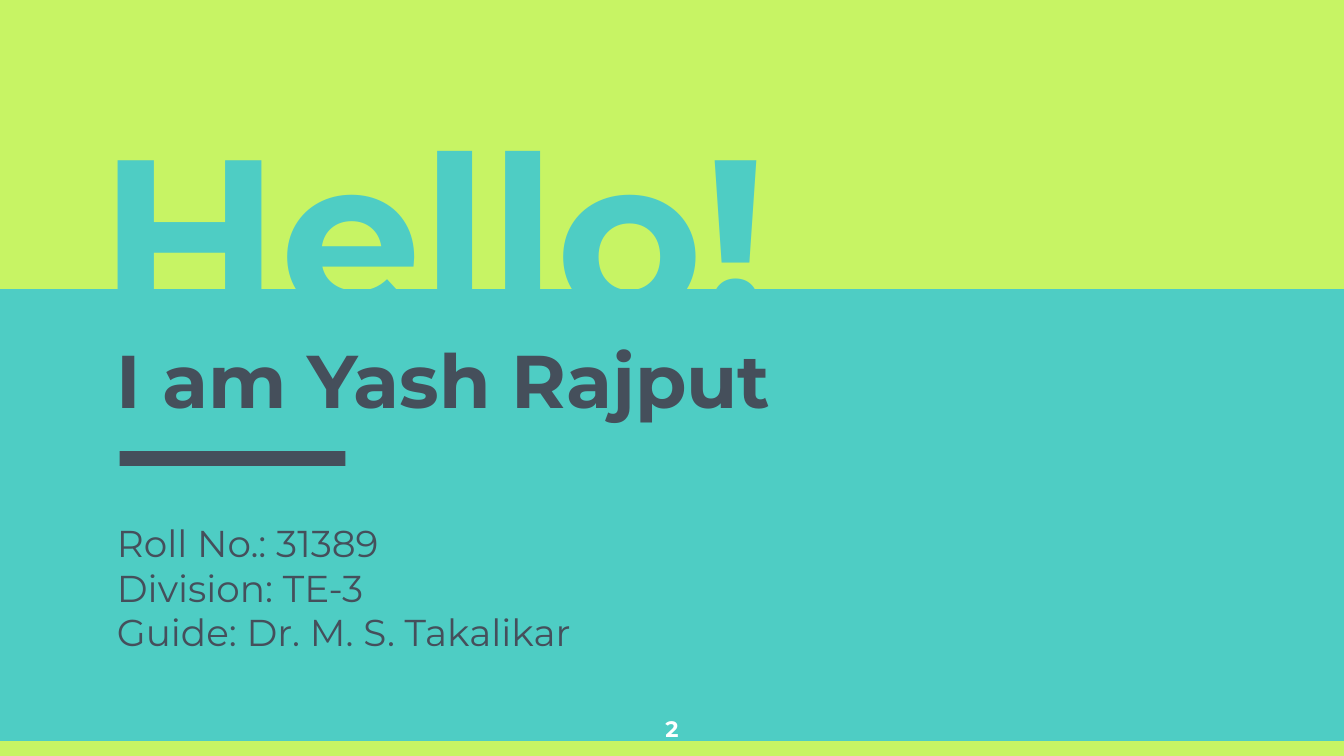
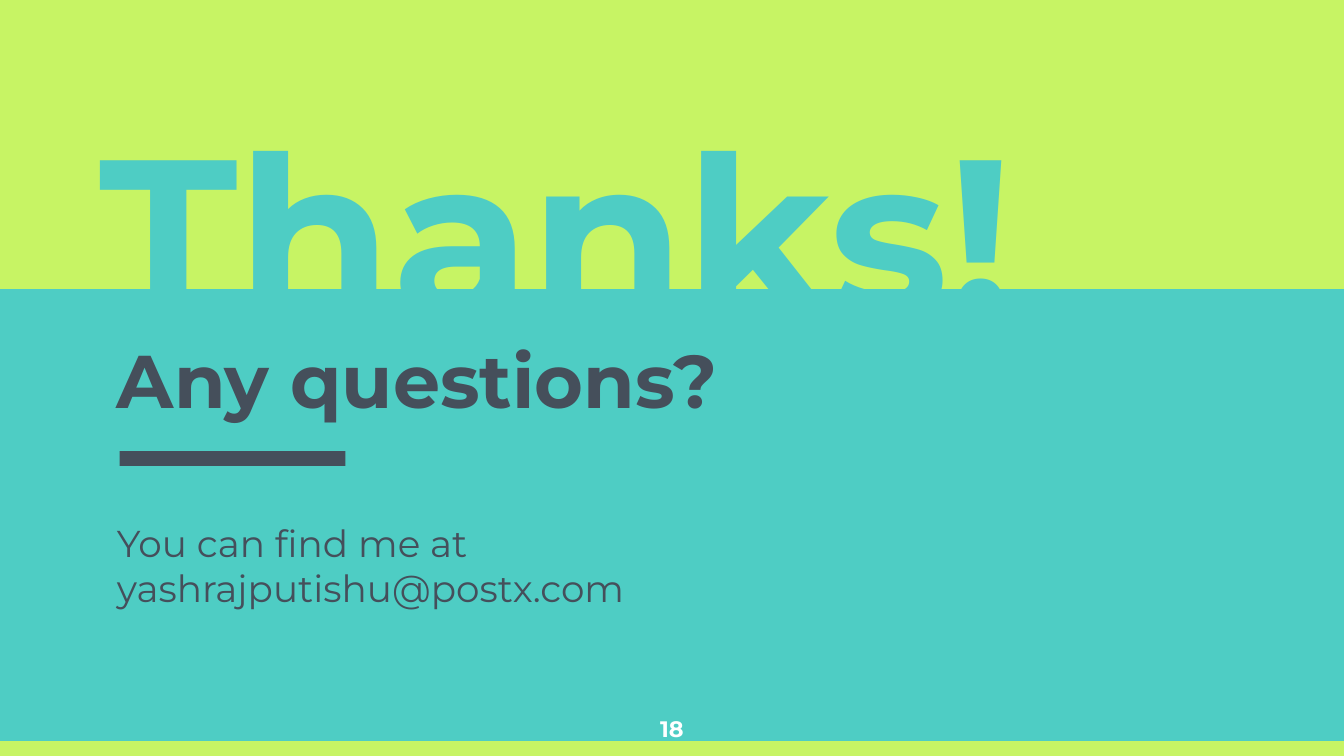
from pptx import Presentation
from pptx.dml.color import RGBColor
from pptx.enum.shapes import MSO_SHAPE
from pptx.enum.text import MSO_ANCHOR, PP_ALIGN
from pptx.util import Cm, Pt

# Content
PAGES = [
    {
        "greeting": "Hello!",
        "greeting_width": 13.97,
        "headline": "I am Yash Rajput",
        "headline_width": 14.99,
        "details": ["Roll No.: 31389", "Division: TE-3", "Guide: Dr. M. S. Takalikar"],
        "number": "2",
    },
    {
        "greeting": "Thanks!",
        "greeting_width": 18.75,
        "headline": "Any questions?",
        "headline_width": 13.97,
        "details": ["You can find me at", "yashrajputishu@postx.com"],
        "number": "18",
    },
]

# Shared look, lengths in cm
FONT = "Montserrat"
TEAL, LIME, SLATE, WHITE = "4ECDC4", "C7F464", "454F5B", "FFFFFF"
WIDTH, HEIGHT = 25.4, 14.29
TOP_BAND, BOTTOM_BAND = 5.46, 0.28
TEXT_LEFT = 1.96
INSET = 0.25


def color(hex_code):
    return RGBColor.from_string(hex_code)


def add_block(slide, left, top, width, height, fill):
    block = slide.shapes.add_shape(
        MSO_SHAPE.RECTANGLE, Cm(left), Cm(top), Cm(width), Cm(height))
    block.shadow.inherit = False
    block.fill.solid()
    block.fill.fore_color.rgb = color(fill)
    block.line.fill.background()


def add_text(slide, lines, left, top, width, height, size, ink, bold=False,
             anchor=MSO_ANCHOR.TOP, align=PP_ALIGN.LEFT, space_before=0):
    frame = slide.shapes.add_textbox(
        Cm(left), Cm(top), Cm(width), Cm(height)).text_frame
    frame.word_wrap = True
    frame.vertical_anchor = anchor
    frame.margin_left = frame.margin_right = Cm(INSET)
    frame.margin_top = frame.margin_bottom = Cm(INSET)
    frame.text = "\n".join(lines)
    for paragraph in frame.paragraphs:
        paragraph.alignment = align
        paragraph.space_before = Pt(space_before)
        for run in paragraph.runs:
            run.font.name = FONT
            run.font.size = Pt(size)
            run.font.bold = bold
            run.font.color.rgb = color(ink)


def add_page(deck, page):
    slide = deck.slides.add_slide(deck.slide_layouts[6])
    slide.background.fill.solid()
    slide.background.fill.fore_color.rgb = color(TEAL)

    # Bands at the bottom and top edges
    add_block(slide, 0, HEIGHT - BOTTOM_BAND, WIDTH, BOTTOM_BAND, LIME)
    add_block(slide, 0, 0, WIDTH, TOP_BAND, LIME)

    # Greeting sinking into the teal, then the headline and details
    add_text(slide, [page["greeting"]], 1.63, 3.86, page["greeting_width"], 3.23,
             120, TEAL, bold=True, anchor=MSO_ANCHOR.BOTTOM)
    add_text(slide, [page["headline"]], TEXT_LEFT, 6.07, page["headline_width"], 1.75,
             40, SLATE, bold=True, space_before=6)
    add_text(slide, page["details"], TEXT_LEFT, 9.58, 18.52, 3.94, 20, SLATE)

    # Rule under the headline
    add_block(slide, 2.26, 8.53, 4.27, 0.28, SLATE)

    # Page number, centred on the slide
    number_width = 1.52
    add_text(slide, [page["number"]], (WIDTH - number_width) / 2, 13.26,
             number_width, 0.86, 12, WHITE, bold=True, align=PP_ALIGN.CENTER)


def main():
    deck = Presentation()
    deck.slide_width, deck.slide_height = Cm(WIDTH), Cm(HEIGHT)
    for page in PAGES:
        add_page(deck, page)
    deck.save("out.pptx")


if __name__ == "__main__":
    main()
